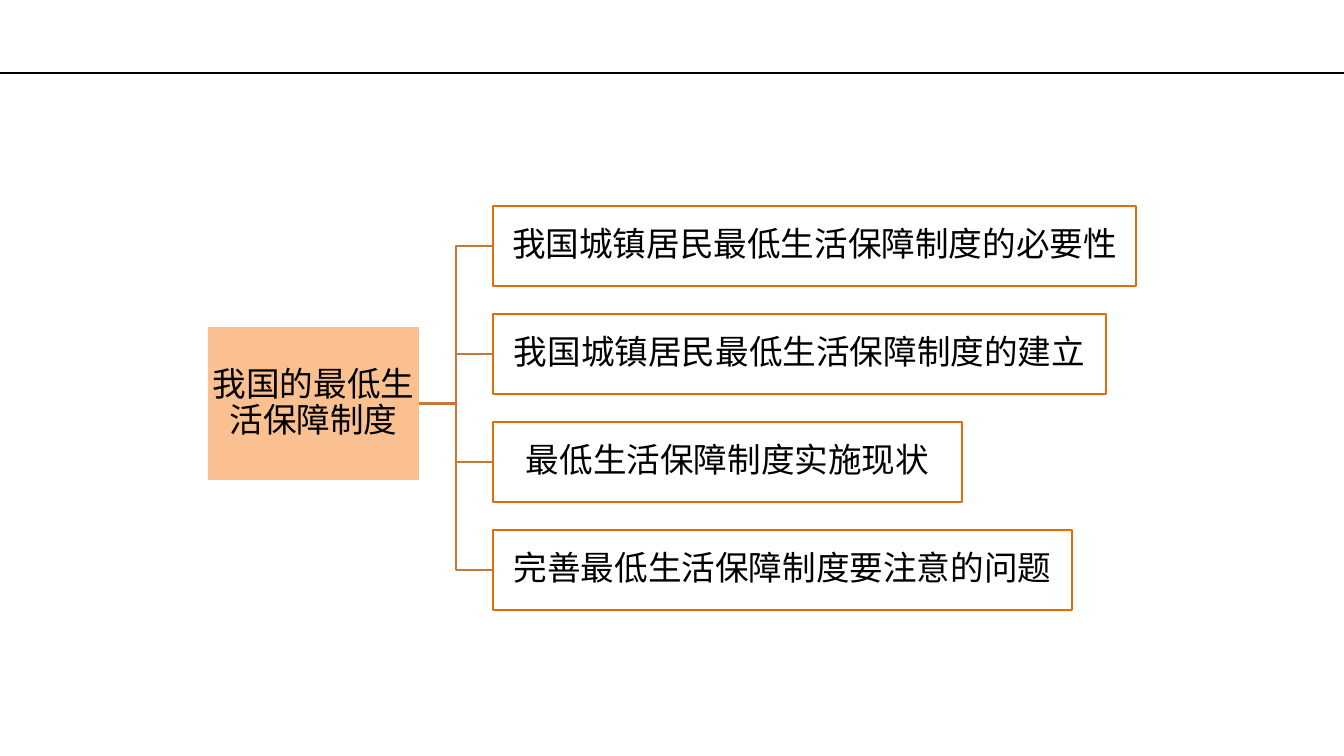
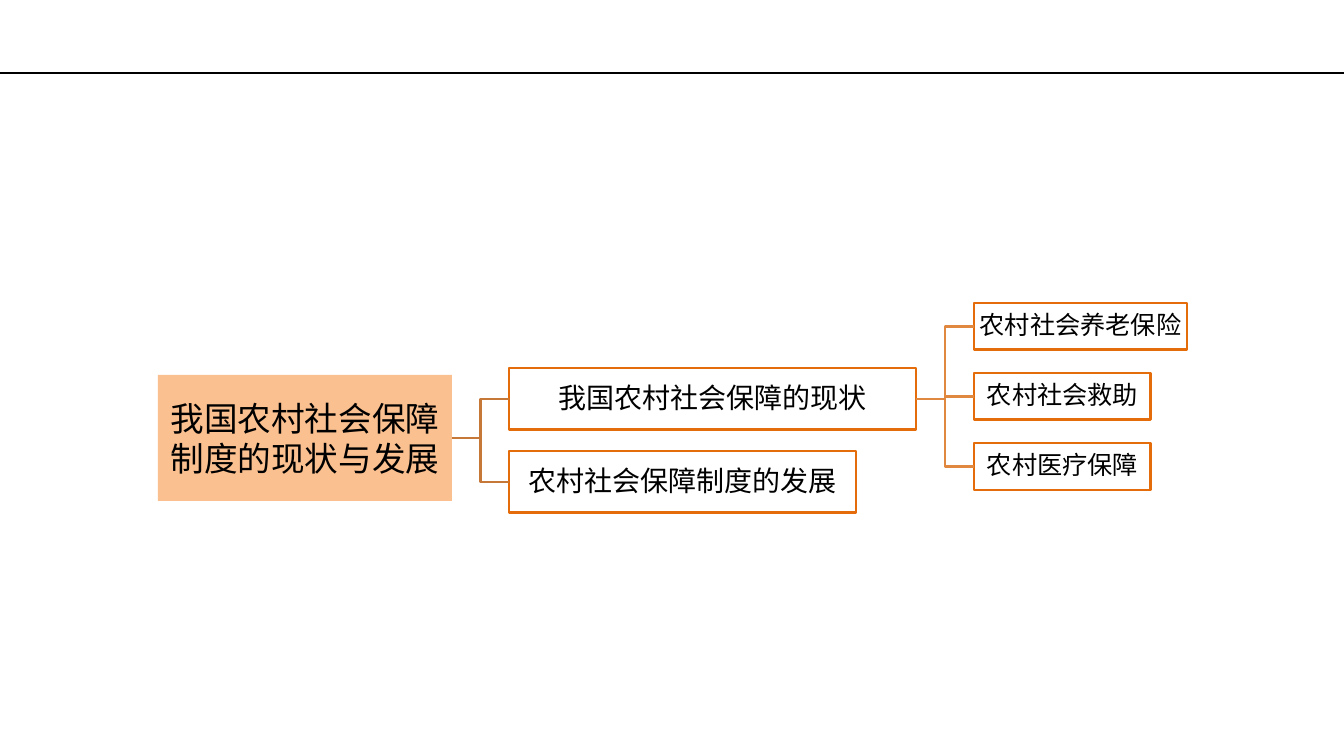
from lxml.etree import SubElement
from pptx import Presentation
from pptx.dml.color import RGBColor
from pptx.enum.shapes import MSO_CONNECTOR, MSO_SHAPE
from pptx.enum.text import MSO_ANCHOR, PP_ALIGN
from pptx.oxml.ns import qn
from pptx.util import Pt

PX = 914400 / 100.8
SLIDE_W, SLIDE_H, RULE_Y = 1344, 756, 73
INSET = 2

BLACK = RGBColor(0x00, 0x00, 0x00)
PEACH = RGBColor(0xFA, 0xC0, 0x90)
ORANGE = RGBColor(0xE4, 0x6C, 0x0A)
BROWN = RGBColor(0xC6, 0x78, 0x38)
AMBER = RGBColor(0xE0, 0x88, 0x40)

CJK_FONT = "Noto Sans CJK SC"
LATIN_FONT = "Calibri"


def emu(*lengths):
    """Turn px lengths into EMU."""
    return [round(length * PX) for length in lengths]


def add_line(slide, kind, ends, color, width):
    """Draw a connector without a shadow."""
    line = slide.shapes.add_connector(kind, *emu(*ends))
    line.line.color.rgb = color
    line.line.width = Pt(width)
    SubElement(line._element.spPr, qn("a:effectLst"))
    return line


def add_base(prs):
    """Add a blank slide with the shared rule across its top."""
    slide = prs.slides.add_slide(prs.slide_layouts[6])
    add_line(slide, MSO_CONNECTOR.STRAIGHT, (0, RULE_Y, SLIDE_W, RULE_Y), BLACK, 1)
    return slide


def add_node(slide, box, text, size, font, fill=None, spacing=0.9):
    """Draw one labelled box, filled or outlined."""
    sp = slide.shapes.add_shape(MSO_SHAPE.RECTANGLE, *emu(*box))
    sp.shadow.inherit = False
    if fill is None:
        sp.fill.background()
        sp.line.color.rgb = ORANGE
        sp.line.width = Pt(2)
    else:
        sp.fill.solid()
        sp.fill.fore_color.rgb = fill
        sp.line.fill.background()
    tf = sp.text_frame
    tf.word_wrap = True
    tf.vertical_anchor = MSO_ANCHOR.MIDDLE
    tf.margin_left = tf.margin_right = tf.margin_top = tf.margin_bottom = emu(INSET)[0]
    p = tf.paragraphs[0]
    p.alignment = PP_ALIGN.CENTER
    p.line_spacing = spacing
    r = p.add_run()
    r.text = text
    r.font.size = Pt(size)
    r.font.name = font
    r.font.color.rgb = BLACK
    SubElement(r._r.get_or_add_rPr(), qn("a:ea"), typeface=LATIN_FONT)
    return sp


def add_branch(slide, parent, box, pitch, children, size, font, color):
    """Stack child boxes from the given left, top and height, and link them to the parent."""
    left, top, height = box
    nodes = []
    for i, (text, width) in enumerate(children):
        node = add_node(slide, (left, top + i * pitch, width, height), text, size, font)
        link = add_line(slide, MSO_CONNECTOR.ELBOW, (0, 0, 0, 0), color, 2)
        link.begin_connect(parent, 3)
        link.end_connect(node, 1)
        nodes.append(node)
    return nodes


def build_allowance_slide(prs):
    """Build the tree on the minimum living allowance."""
    slide = add_base(prs)
    root = add_node(slide, (208, 327, 211, 153), "我国的最低生活保障制度", 24, CJK_FONT, PEACH)
    topics = [
        ("我国城镇居民最低生活保障制度的必要性", 643),
        ("我国城镇居民最低生活保障制度的建立", 613),
        ("最低生活保障制度实施现状", 469),
        ("完善最低生活保障制度要注意的问题", 579),
    ]
    add_branch(slide, root, (493, 206, 80), 108, topics, 24, CJK_FONT, BROWN)


def build_rural_slide(prs):
    """Build the tree on rural social security."""
    slide = add_base(prs)
    root = add_node(slide, (158, 375, 294, 126), "我国农村社会保障制度的现状与发展",
                    24, LATIN_FONT, PEACH, 1.0)
    topics = [("我国农村社会保障的现状", 407), ("农村社会保障制度的发展", 347)]
    status, _ = add_branch(slide, root, (509, 368, 62), 83, topics, 20, LATIN_FONT, BROWN)
    schemes = [("农村社会养老保险", 213), ("农村社会救助", 177), ("农村医疗保障", 177)]
    add_branch(slide, status, (974, 303, 47), 70, schemes, 18, LATIN_FONT, AMBER)


def main():
    """Build and save the presentation."""
    prs = Presentation()
    prs.slide_width, prs.slide_height = emu(SLIDE_W, SLIDE_H)
    build_allowance_slide(prs)
    build_rural_slide(prs)
    prs.save("out.pptx")


if __name__ == "__main__":
    main()
